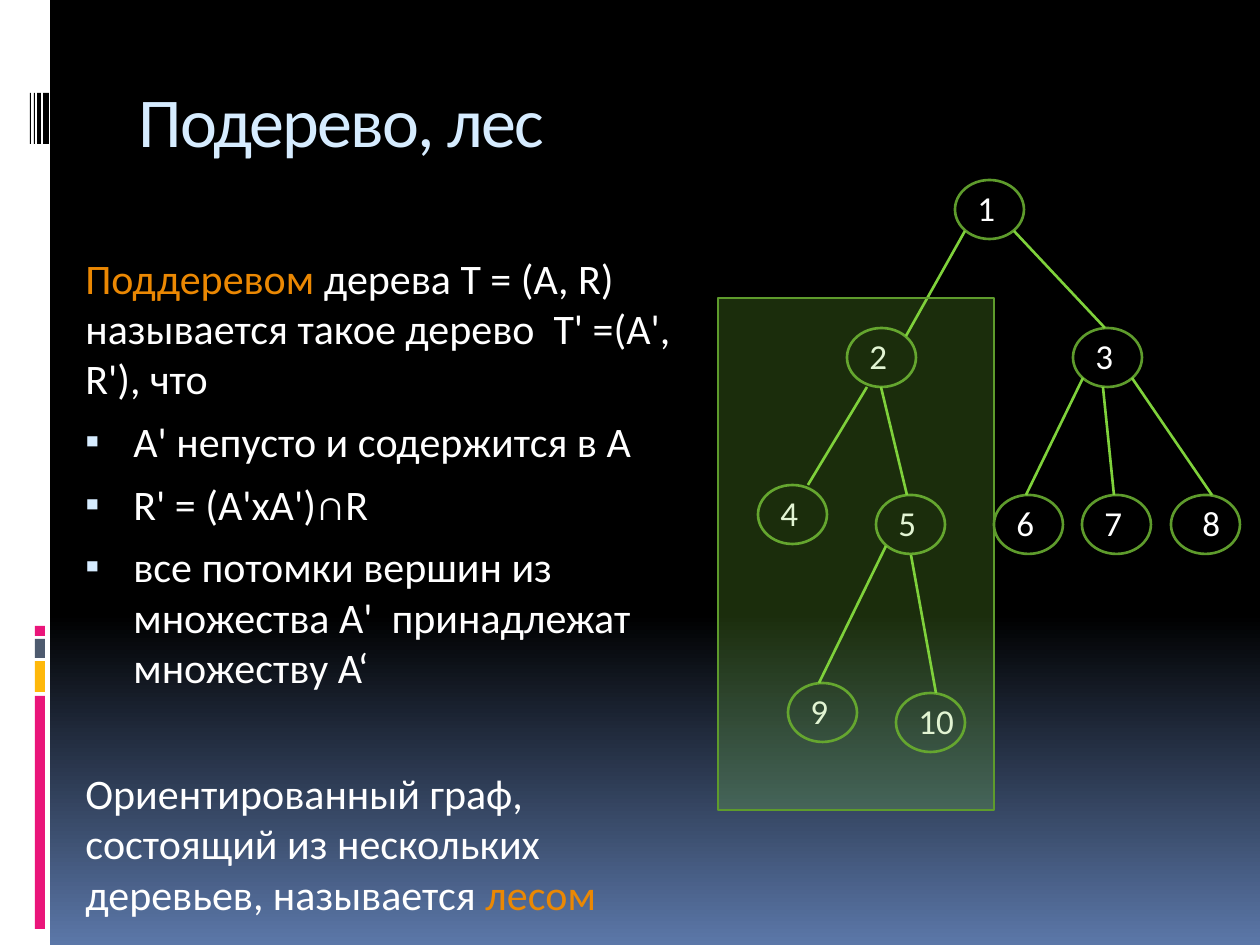
import copy
import dataclasses

import lxml.etree
import pptx
import pptx.dml.color
import pptx.enum.shapes
import pptx.enum.text
import pptx.oxml.ns
import pptx.util

PX = 914400 // 126
SHAPE = pptx.enum.shapes.MSO_SHAPE
qn = pptx.oxml.ns.qn


@dataclasses.dataclass(frozen=True)
class Theme:
    font: str = "Calibri"
    title_size: int = 40
    body_size: int = 24
    label_size: int = 20
    title: str = "D6ECFF"
    text: str = "FFFFFF"
    accent: str = "EB8803"
    outline: str = "5E9B2C"
    edge: str = "7FD13B"
    black: str = "000000"
    white: str = "FFFFFF"
    pink: str = "EA157A"
    yellow: str = "FEB80A"
    slate: str = "4E5B6F"
    sky: str = "5B77A8"


T = Theme()
NODE_W, NODE_H = 69, 59

# Tree: label -> left and top of its node
NODES = {"1": (955, 180), "2": (847, 328), "3": (1073, 328),
         "4": (758, 485), "5": (876, 495), "8": (1171, 495),
         "7": (1082, 495), "6": (994, 495), "9": (788, 683), "10": (896, 693)}
EDGES = [(965, 231, 906, 336), (867, 387, 808, 485), (881, 387, 907, 495),
         (1103, 387, 1114, 495), (1083, 378, 1026, 495), (1014, 231, 1105, 328),
         (886, 546, 819, 683), (911, 555, 936, 693), (1132, 378, 1212, 495)]

# Side decoration: left, top, width, height, colour
BARS = [(0, 0, 50, 945, T.white), (35, 696, 10, 233, T.pink),
        (35, 661, 10, 31, T.yellow), (35, 639, 10, 19, T.slate),
        (35, 626, 10, 10, T.pink), (43, 93, 6, 51, T.black),
        (37, 93, 4, 51, T.black), (34, 93, 1, 51, T.black),
        (30, 93, 1, 51, T.black)]

# Body: bulleted, space before, runs of text and colour
BODY = [
    (False, 7, [("Поддеревом", T.accent),
                (" дерева Т = (А, R) называется такое дерево  T' =(А', R'), что", T.text)]),
    (True, 7, [("А' непусто и содержится в A", T.text)]),
    (True, 7, [("R' = (A'хA')∩R", T.text)]),
    (True, 7, [("все потомки вершин из множества А'  принадлежат множеству А‘", T.text)]),
    (False, 43, [("Ориентированный граф, состоящий из нескольких деревьев, называется ", T.text),
                 ("лесом", T.accent)]),
]


def rgb(value):
    return pptx.dml.color.RGBColor.from_string(value)


def px(*values):
    return [pptx.util.Emu(v * PX) for v in values]


def set_background(slide, stops):
    fill = slide.background.fill
    fill.gradient()
    fill.gradient_angle = 270
    first = slide.background._cSld.find(".//" + qn("a:gs"))
    first.addnext(copy.deepcopy(first))
    for stop, (position, color) in zip(fill.gradient_stops, stops):
        stop.position = position
        stop.color.rgb = rgb(color)


def add_shape(slide, kind, box, fill=None, line=None, alpha=None):
    sp = slide.shapes.add_shape(kind, *px(*box))
    sp.shadow.inherit = False
    if fill:
        sp.fill.solid()
        sp.fill.fore_color.rgb = rgb(fill)
    else:
        sp.fill.background()
    if alpha is not None:
        color = sp.fill._xPr.find(".//" + qn("a:srgbClr"))
        lxml.etree.SubElement(color, qn("a:alpha")).set("val", str(alpha * 1000))
    if line:
        sp.line.color.rgb = rgb(line)
        sp.line.width = pptx.util.Pt(1.5)
    else:
        sp.line.fill.background()
    return sp


def add_text_box(slide, box, wrap=True):
    tf = slide.shapes.add_textbox(*px(*box)).text_frame
    tf.word_wrap = wrap
    return tf


def add_run(p, text, size, color):
    r = p.add_run()
    r.text = text
    r.font.name = T.font
    r.font.size = pptx.util.Pt(size)
    r.font.color.rgb = rgb(color)
    return r


def add_title(slide, text):
    tf = add_text_box(slide, (126, 71, 1134, 126))
    r = add_run(tf.paragraphs[0], text, T.title_size, T.title)
    r.font._element.set("spc", "-100")


def set_indent(p, bulleted):
    pPr = p._p.get_or_add_pPr()
    left, first = (57, -48) if bulleted else (9, 0)
    pPr.set("marL", str(left * PX))
    pPr.set("indent", str(first * PX))
    if bulleted:
        color = lxml.etree.SubElement(pPr, qn("a:buClr"))
        lxml.etree.SubElement(color, qn("a:srgbClr")).set("val", T.title)
        lxml.etree.SubElement(pPr, qn("a:buSzPct")).set("val", "95000")
        lxml.etree.SubElement(pPr, qn("a:buFont")).set("typeface", T.font)
        lxml.etree.SubElement(pPr, qn("a:buChar")).set("char", "▪")


def add_body(slide):
    tf = add_text_box(slide, (64, 246, 625, 630))
    for i, (bulleted, before, runs) in enumerate(BODY):
        p = tf.add_paragraph() if i else tf.paragraphs[0]
        p.space_before = pptx.util.Pt(before)
        set_indent(p, bulleted)
        for text, color in runs:
            add_run(p, text, T.body_size, color)


def add_node(slide, label, left, top):
    add_shape(slide, SHAPE.OVAL, (left, top, NODE_W, NODE_H), line=T.outline)
    inset = 19 if label == "8" else 10
    width = 25 + 18 * len(label)
    tf = add_text_box(slide, (left + inset, top, width, 55), wrap=False)
    tf.auto_size = pptx.enum.text.MSO_AUTO_SIZE.SHAPE_TO_FIT_TEXT
    add_run(tf.paragraphs[0], label, T.label_size, T.text)


def add_edge(slide, ends):
    line = slide.shapes.add_connector(pptx.enum.shapes.MSO_CONNECTOR.STRAIGHT, *px(*ends))
    line.line.color.rgb = rgb(T.edge)
    line.line.width = pptx.util.Pt(1.5)
    lxml.etree.SubElement(line._element.spPr, qn("a:effectLst"))


def main():
    prs = pptx.Presentation()
    prs.slide_width = pptx.util.Inches(10)
    prs.slide_height = pptx.util.Inches(7.5)
    slide = prs.slides.add_slide(prs.slide_layouts[6])

    # Background and side decoration
    set_background(slide, [(0, T.black), (0.65, T.black), (1, T.sky)])
    for *box, color in BARS:
        add_shape(slide, SHAPE.RECTANGLE, box, fill=color)

    # Text
    add_title(slide, "Подерево, лес")
    add_body(slide)

    # Tree with the highlighted subtree
    for label, (left, top) in NODES.items():
        add_node(slide, label, left, top)
    for ends in EDGES:
        add_edge(slide, ends)
    add_shape(slide, SHAPE.RECTANGLE, (718, 298, 276, 512),
              fill=T.edge, line=T.outline, alpha=22)

    prs.save("out.pptx")


main()
